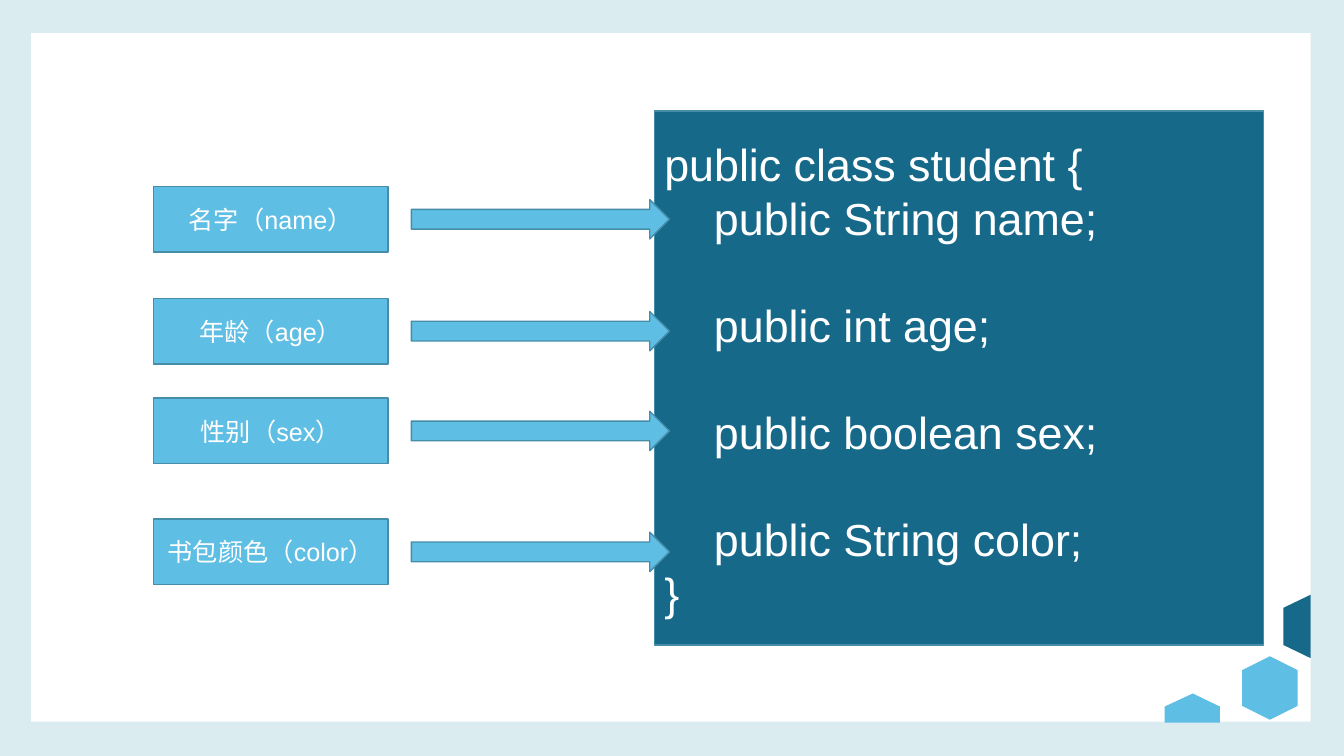
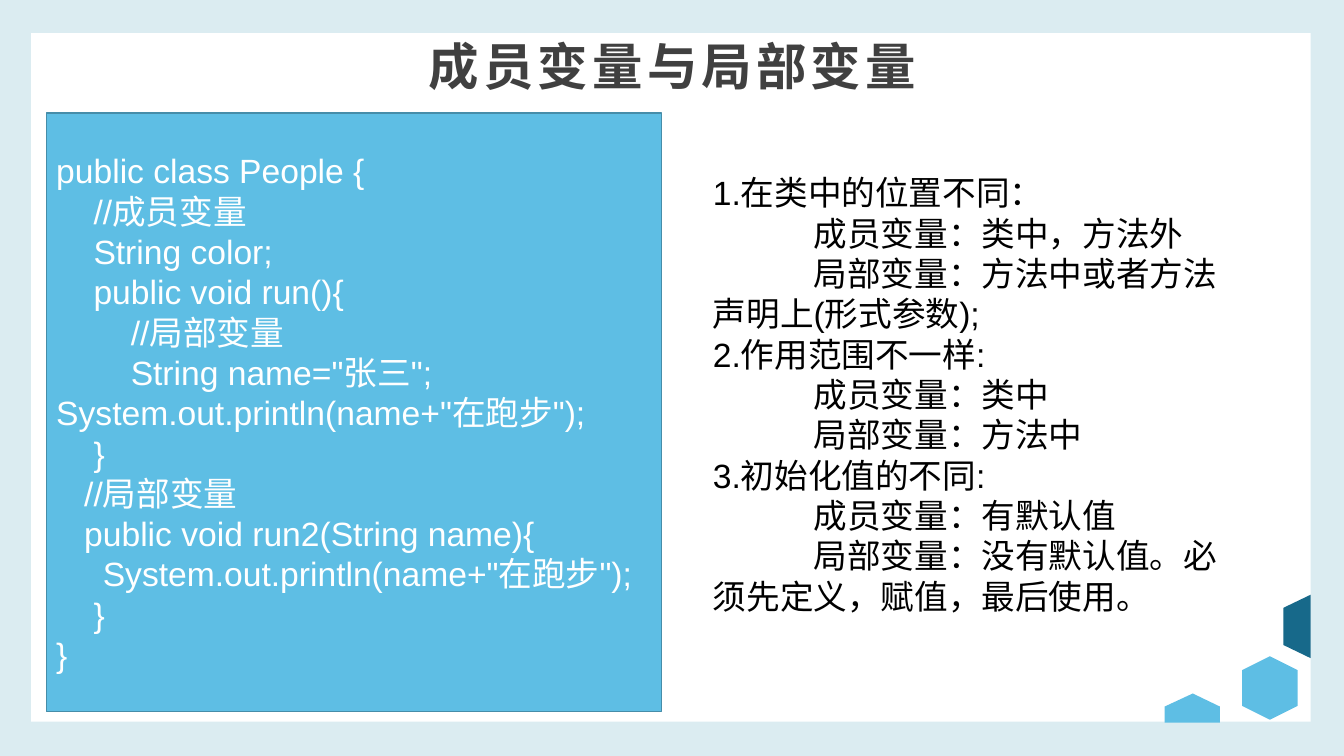
from dataclasses import dataclass, field
from typing import Any

from lxml.etree import SubElement
from pptx import Presentation
from pptx.dml.color import RGBColor
from pptx.enum.shapes import MSO_SHAPE
from pptx.enum.text import MSO_ANCHOR, MSO_AUTO_SIZE, PP_ALIGN
from pptx.oxml.ns import qn
from pptx.util import Inches, Pt

COLORS = {
    "backdrop": "DBECF1",
    "white": "FFFFFF",
    "sky": "5EBEE4",
    "teal": "17698A",
    "outline": "468DA9",
    "title": "404040",
    "black": "000000",
}
LATIN_FONT = "Arial"
CHINESE_FONT = "Noto Sans CJK SC"
FIRST_LINE_INDENT = Inches(1)
CODE_GAP = Pt(38)

FRAME_FORMAT = {
    "word_wrap": True,
    "auto_size": MSO_AUTO_SIZE.NONE,
    "vertical_anchor": MSO_ANCHOR.MIDDLE,
}
TITLE_FRAME_FORMAT = FRAME_FORMAT | {
    "margin_left": Inches(0.08),
    "margin_top": Inches(0.04),
    "margin_right": Inches(0.08),
    "margin_bottom": Inches(0.12),
}
BODY_FRAME_FORMAT = FRAME_FORMAT | {"vertical_anchor": MSO_ANCHOR.TOP}
LEFT_FORMAT = {"alignment": PP_ALIGN.LEFT, "space_before": Pt(0)}
CENTER_FORMAT = {"alignment": PP_ALIGN.CENTER, "space_before": Pt(0)}
TITLE_FORMAT = CENTER_FORMAT | {"line_spacing": 0.9, "space_after": Pt(8)}


@dataclass(frozen=True)
class Box:
    left: float
    top: float
    width: float
    height: float

    def lengths(self) -> tuple:
        return tuple(Inches(value) for value in (self.left, self.top, self.width, self.height))


@dataclass(frozen=True)
class TextLine:
    text: str
    format: dict = field(default_factory=dict)
    indented: bool = False


@dataclass(frozen=True)
class TextStyle:
    size: float
    color: str
    paragraph_format: dict
    font: str = LATIN_FONT
    bold: bool = False
    spacing: int = 0


@dataclass(frozen=True)
class Attribute:
    label: str
    top: float


@dataclass(frozen=True)
class Hexagon:
    points: tuple
    color: str


CUT_HEXAGONS = (
    Hexagon(((11.55, 7.17), (11.55, 7.01), (11.83, 6.88), (12.1, 7.01), (12.1, 7.17)), "sky"),
    Hexagon(((13, 5.9), (12.73, 6.03), (12.73, 6.4), (13, 6.53)), "teal"),
)
ATTRIBUTES = (
    Attribute("名字（name）", 1.85),
    Attribute("年龄（age）", 2.96),
    Attribute("性别（sex）", 3.95),
    Attribute("书包颜色（color）", 5.15),
)
STUDENT_CODE = (
    TextLine("public class student {"),
    TextLine("    public String name;"),
    TextLine("    public int age;", {"space_before": CODE_GAP}),
    TextLine("    public boolean sex;", {"space_before": CODE_GAP}),
    TextLine("    public String color;", {"space_before": CODE_GAP}),
    TextLine("}"),
)
PEOPLE_CODE = tuple(TextLine(text) for text in (
    "public class People {",
    "    //成员变量",
    "    String color;",
    "    public void run(){",
    "        //局部变量",
    '        String name="张三";',
    'System.out.println(name+"在跑步");',
    "    }",
    "   //局部变量",
    "   public void run2(String name){",
    '     System.out.println(name+"在跑步");',
    "    }",
    "}",
))
DIFFERENCES = (
    TextLine("1.在类中的位置不同："),
    TextLine("成员变量：类中，方法外", indented=True),
    TextLine("局部变量：方法中或者方法声明上(形式参数);", indented=True),
    TextLine("2.作用范围不一样:"),
    TextLine("成员变量：类中", indented=True),
    TextLine("局部变量：方法中", indented=True),
    TextLine("3.初始化值的不同:"),
    TextLine("成员变量：有默认值", indented=True),
    TextLine("局部变量：没有默认值。必须先定义，赋值，最后使用。", indented=True),
)

LABEL_STYLE = TextStyle(18, "white", CENTER_FORMAT)
STUDENT_STYLE = TextStyle(32, "white", LEFT_FORMAT)
PEOPLE_STYLE = TextStyle(24, "white", LEFT_FORMAT)
BODY_STYLE = TextStyle(24, "black", LEFT_FORMAT)
TITLE_STYLE = TextStyle(36, "title", TITLE_FORMAT, CHINESE_FONT, True, 300)


def color(name: str) -> RGBColor:
    return RGBColor.from_string(COLORS[name])


def apply_format(target: Any, values: dict) -> None:
    for name, value in values.items():
        setattr(target, name, value)


def paint(shape: Any, fill: str, outline: str = "") -> None:
    shape.shadow.inherit = False
    shape.fill.solid()
    shape.fill.fore_color.rgb = color(fill)
    if outline:
        shape.line.color.rgb = color(outline)
        shape.line.width = Pt(1)
    else:
        shape.line.fill.background()


def add_preset(slide: Any, kind: MSO_SHAPE, box: Box, fill: str, outline: str = "") -> Any:
    shape = slide.shapes.add_shape(kind, *box.lengths())
    paint(shape, fill, outline)
    return shape


def write_lines(shape: Any, lines: tuple, style: TextStyle, frame_format: dict) -> None:
    frame = shape.text_frame
    apply_format(frame, frame_format)
    for index, line in enumerate(lines):
        paragraph = frame.add_paragraph() if index else frame.paragraphs[0]
        properties = paragraph._p.get_or_add_pPr()
        properties.set("marL", "0")
        properties.set("indent", str(FIRST_LINE_INDENT if line.indented else 0))
        SubElement(properties, qn("a:buNone"))
        apply_format(paragraph, style.paragraph_format | line.format)
        run = paragraph.add_run()
        run.text = line.text
        apply_format(run.font, {"name": style.font, "size": Pt(style.size), "bold": style.bold})
        run.font.color.rgb = color(style.color)
        run_properties = run._r.get_or_add_rPr()
        SubElement(run_properties, qn("a:ea")).set("typeface", CHINESE_FONT)
        if style.spacing:
            run_properties.set("spc", str(style.spacing))


def place(shape: Any, box: Box) -> None:
    apply_format(shape, dict(zip(("left", "top", "width", "height"), box.lengths())))


def add_hexagons(slide: Any) -> None:
    whole = add_preset(slide, MSO_SHAPE.HEXAGON, Box(12.28, 6.55, 0.63, 0.55), "sky")
    whole.rotation = 270
    for hexagon in CUT_HEXAGONS:
        corners = [(Inches(x), Inches(y)) for x, y in hexagon.points]
        builder = slide.shapes.build_freeform(*corners[0])
        builder.add_line_segments(corners[1:], close=True)
        paint(builder.convert_to_shape(), hexagon.color)


def add_framed_slide(presentation: Any, layout_name: str) -> Any:
    slide = presentation.slides.add_slide(presentation.slide_layouts.get_by_name(layout_name))
    add_preset(slide, MSO_SHAPE.RECTANGLE, Box(0.31, 0.33, 12.69, 6.83), "white")
    add_hexagons(slide)
    for placeholder in slide.placeholders:
        slide.shapes._spTree.append(placeholder._element)
    return slide


def add_code(slide: Any, box: Box, fill: str, lines: tuple, style: TextStyle) -> None:
    panel = add_preset(slide, MSO_SHAPE.RECTANGLE, box, fill, "outline")
    write_lines(panel, lines, style, FRAME_FORMAT)


def build_student_slide(presentation: Any) -> None:
    slide = add_framed_slide(presentation, "Blank")
    add_code(slide, Box(6.49, 1.1, 6.04, 5.3), "teal", STUDENT_CODE, STUDENT_STYLE)
    for attribute in ATTRIBUTES:
        label_box = Box(1.52, attribute.top, 2.33, 0.65)
        label = add_preset(slide, MSO_SHAPE.RECTANGLE, label_box, "sky", "outline")
        write_lines(label, (TextLine(attribute.label),), LABEL_STYLE, FRAME_FORMAT)
        arrow_box = Box(4.08, attribute.top + 0.13, 2.56, 0.39)
        add_preset(slide, MSO_SHAPE.RIGHT_ARROW, arrow_box, "sky", "outline")


def build_variables_slide(presentation: Any) -> None:
    slide = add_framed_slide(presentation, "Title and Content")
    title, body = slide.shapes.title, slide.placeholders[1]
    place(title, Box(0.67, 0.33, 12, 0.79))
    write_lines(title, (TextLine("成员变量与局部变量"),), TITLE_STYLE, TITLE_FRAME_FORMAT)
    add_code(slide, Box(0.46, 1.12, 6.1, 5.94), "sky", PEOPLE_CODE, PEOPLE_STYLE)
    place(body, Box(6.97, 1.66, 5.25, 4.54))
    write_lines(body, DIFFERENCES, BODY_STYLE, BODY_FRAME_FORMAT)


def main() -> None:
    presentation = Presentation()
    presentation.slide_width = Inches(13.33)
    presentation.slide_height = Inches(7.5)
    background = presentation.slide_master.background.fill
    background.solid()
    background.fore_color.rgb = color("backdrop")
    build_student_slide(presentation)
    build_variables_slide(presentation)
    presentation.save("out.pptx")


if __name__ == "__main__":
    main()
